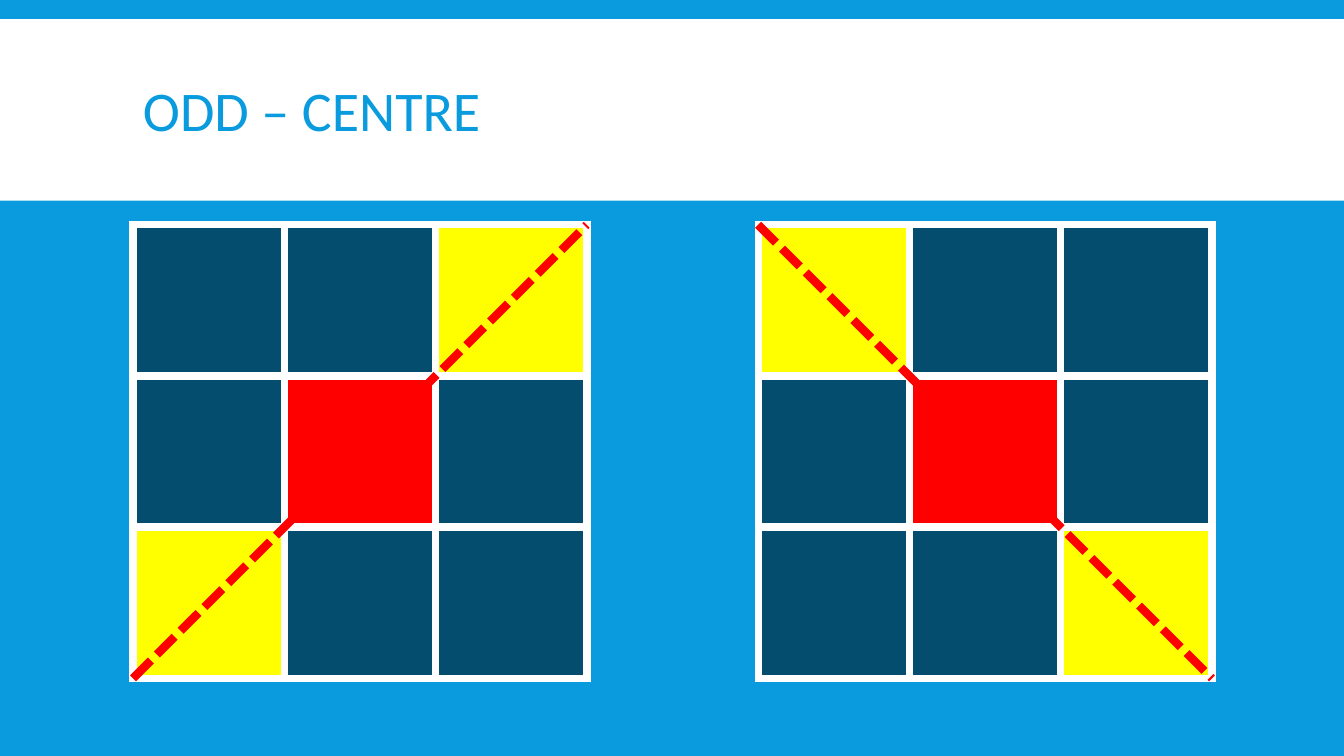
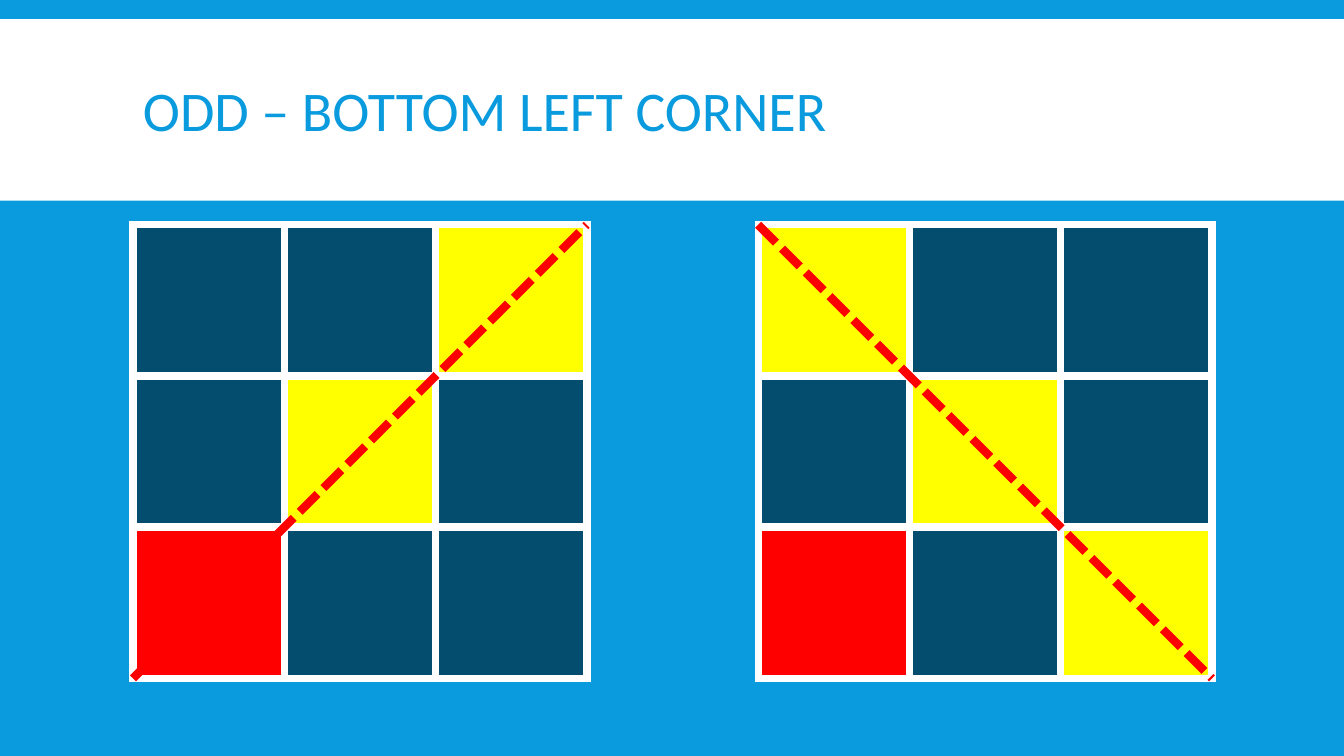
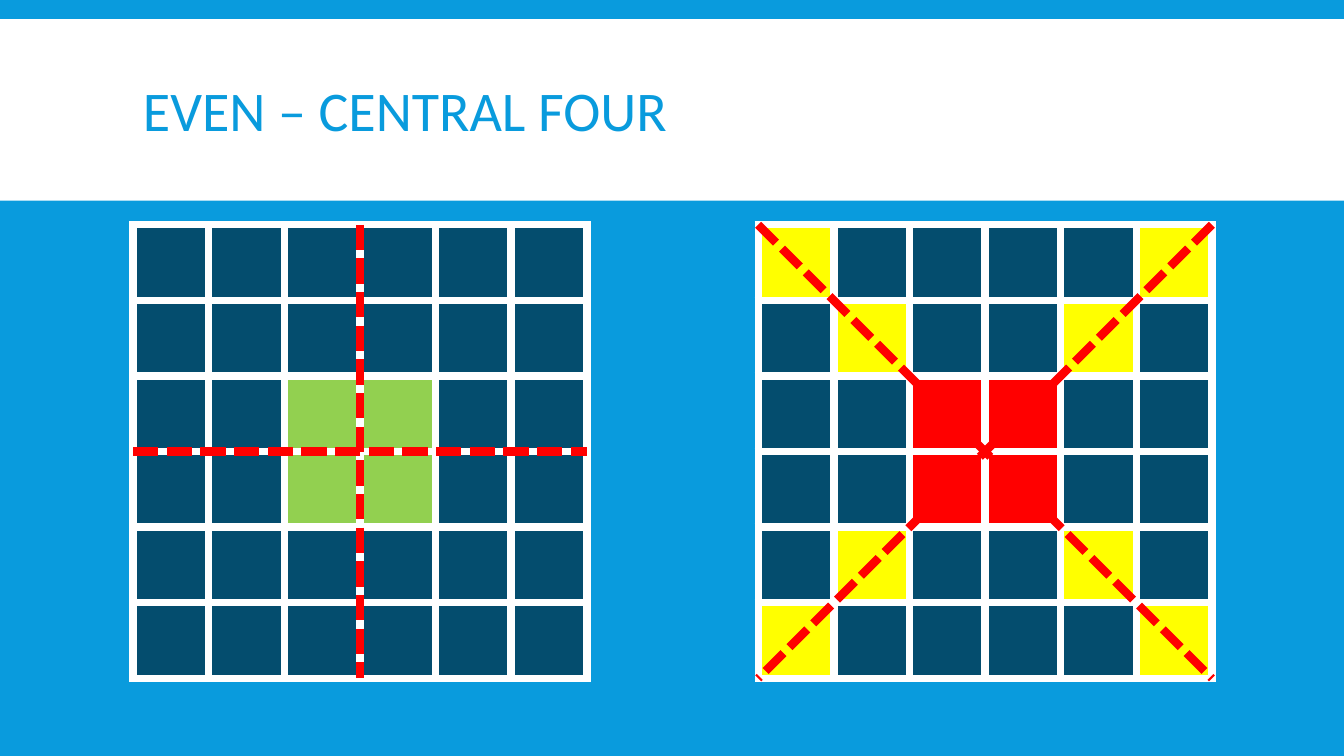
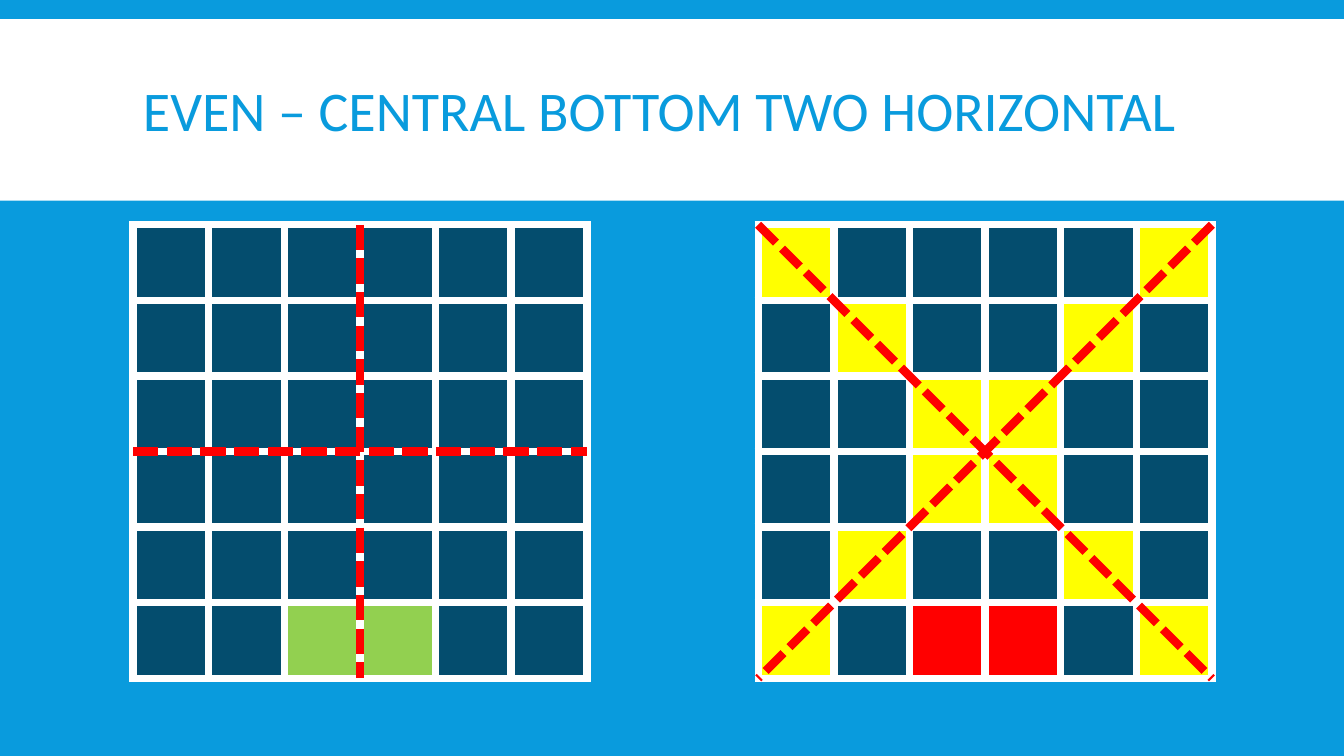
from typing import NamedTuple

from lxml.etree import SubElement
from pptx import Presentation
from pptx.dml.color import RGBColor
from pptx.enum.dml import MSO_LINE as Dash
from pptx.enum.shapes import MSO_CONNECTOR as Link, MSO_SHAPE as Shape
from pptx.enum.text import MSO_ANCHOR as Anchor
from pptx.oxml.ns import qn
from pptx.slide import Slide
from pptx.table import _Cell as Cell
from pptx.util import Inches, Pt

HEX = {
    "blue": "099BDD",
    "white": "FFFFFF",
    "navy": "044D6E",
    "yellow": "FFFF00",
    "red": "FF0000",
    "green": "92D050",
}
# Letters used to write a grid, one per cell
MARKS = {".": "navy", "y": "yellow", "r": "red", "g": "green"}

FONT = "Calibri"
WIDE, HIGH = 13.33, 7.5
LEFT, RIGHT, TOP, SIDE = 1.32, 7.52, 2.23, 4.5
THICK = Pt(6)


class Ray(NamedTuple):
    """A dashed line, its ends given as shares of the grid side."""
    x1: float
    y1: float
    x2: float
    y2: float


FALL = Ray(0, 0, 1, 1)
RISE = Ray(0, 1, 1, 0)
DROP = Ray(1, 0, 0, 1)
ACROSS = Ray(0, 0.5, 1, 0.5)
DOWN = Ray(0.5, 0, 0.5, 1)


class Grid(NamedTuple):
    left: float
    rows: list[str]
    rays: list[Ray]


class Page(NamedTuple):
    title: str
    grids: list[Grid]


CROSS = ["y....y", ".y..y."]
PLAIN = ["......"]

PAGES = [
    Page("ODD – CENTRE", [
        Grid(LEFT, ["..y", ".r.", "y.."], [RISE]),
        Grid(RIGHT, ["y..", ".r.", "..y"], [FALL]),
    ]),
    Page("ODD – BOTTOM LEFT CORNER", [
        Grid(LEFT, ["..y", ".y.", "r.."], [RISE]),
        Grid(RIGHT, ["y..", ".y.", "r.y"], [FALL]),
    ]),
    Page("EVEN – CENTRAL FOUR", [
        Grid(RIGHT, CROSS + ["..rr.."] * 2 + CROSS[::-1], [DROP, FALL]),
        Grid(LEFT, PLAIN * 2 + ["..gg.."] * 2 + PLAIN * 2, [ACROSS, DOWN]),
    ]),
    Page("EVEN – CENTRAL BOTTOM TWO HORIZONTAL", [
        Grid(RIGHT, CROSS + ["..yy.."] * 2 + [".y..y.", "y.rr.y"], [DROP, FALL]),
        Grid(LEFT, PLAIN * 5 + ["..gg.."], [ACROSS, DOWN]),
    ]),
]


def tint(name: str) -> RGBColor:
    return RGBColor.from_string(HEX[name])


# Shared header: white band and title
def add_head(slide: Slide, title: str) -> None:
    band = slide.shapes.add_shape(
        Shape.RECTANGLE, 0, Inches(0.19), Inches(WIDE), Inches(1.8))
    band.shadow.inherit = False
    band.fill.solid()
    band.fill.fore_color.rgb = tint("white")
    band.line.fill.background()

    box = slide.shapes.add_textbox(
        Inches(LEFT), Inches(0.31), Inches(10.7), Inches(1.65))
    frame = box.text_frame
    frame.word_wrap = True
    frame.vertical_anchor = Anchor.MIDDLE
    para = frame.paragraphs[0]
    para.line_spacing = 0.85
    run = para.add_run()
    run.text = title
    run.font.name = FONT
    run.font.size = Pt(40)
    run.font.color.rgb = tint("blue")


# Table cells: borders come before the fill
def paint(cell: Cell, name: str) -> None:
    props = cell._tc.get_or_add_tcPr()
    for edge in ("a:lnL", "a:lnR", "a:lnT", "a:lnB"):
        line = SubElement(props, qn(edge), w=str(THICK))
        fill = SubElement(line, qn("a:solidFill"))
        SubElement(fill, qn("a:srgbClr"), val=HEX["white"])
    cell.fill.solid()
    cell.fill.fore_color.rgb = tint(name)


def add_grid(slide: Slide, grid: Grid) -> None:
    count = len(grid.rows)
    table = slide.shapes.add_table(
        count, count, Inches(grid.left), Inches(TOP),
        Inches(SIDE), Inches(SIDE)).table
    table.first_row = table.horz_banding = False
    for i, marks in enumerate(grid.rows):
        for j, mark in enumerate(marks):
            paint(table.cell(i, j), MARKS[mark])


def add_ray(slide: Slide, left: float, ray: Ray) -> None:
    line = slide.shapes.add_connector(
        Link.STRAIGHT,
        Inches(left + SIDE * ray.x1), Inches(TOP + SIDE * ray.y1),
        Inches(left + SIDE * ray.x2), Inches(TOP + SIDE * ray.y2))
    line.line.color.rgb = tint("red")
    line.line.width = THICK
    line.line.dash_style = Dash.SQUARE_DOT
    line.line._ln.prstDash.set("val", "sysDash")
    SubElement(line._element.spPr, qn("a:effectLst"))


def main() -> None:
    deck = Presentation()
    deck.slide_width, deck.slide_height = Inches(WIDE), Inches(HIGH)
    back = deck.slide_master.background.fill
    back.solid()
    back.fore_color.rgb = tint("blue")

    for page in PAGES:
        slide = deck.slides.add_slide(deck.slide_layouts[6])
        add_head(slide, page.title)
        for grid in page.grids:
            add_grid(slide, grid)
            for ray in grid.rays:
                add_ray(slide, grid.left, ray)

    deck.save("out.pptx")


if __name__ == "__main__":
    main()
